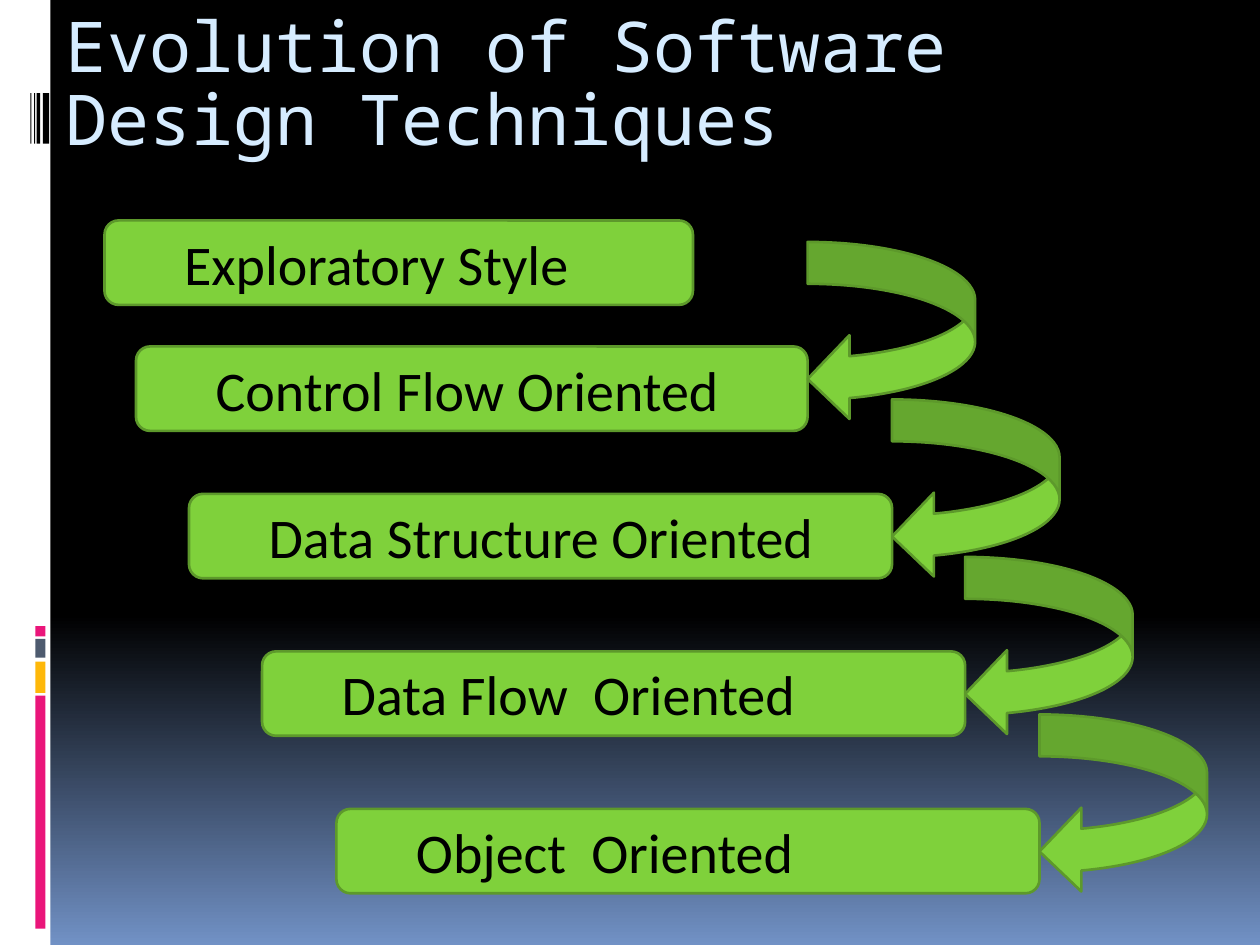
from copy import deepcopy
from pptx import Presentation
from pptx.dml.color import RGBColor
from pptx.enum.shapes import MSO_SHAPE as Geo
from pptx.enum.text import MSO_ANCHOR as Anchor, PP_ALIGN as Align
from pptx.oxml.ns import qn
from pptx.util import Inches, Pt

COLORS = {
    "black": "000000", "white": "FFFFFF", "sky": "7191C5", "title": "D6ECFF",
    "pink": "EA157A", "gold": "FEB80A", "slate": "4E5B6F",
    "green": "7FD13B", "edge": "5D992B",
}


def color(name):
    return RGBColor.from_string(COLORS[name])


def add_shape(kind, x, y, w, h, fill, line=None):
    shape = slide.shapes.add_shape(kind, Inches(x), Inches(y), Inches(w), Inches(h))
    shape.shadow.inherit = False
    shape.fill.solid()
    shape.fill.fore_color.rgb = color(fill)
    if line:
        shape.line.color.rgb = color(line)
        shape.line.width = Pt(1.5)
    else:
        shape.line.fill.background()
    return shape


prs = Presentation()
prs.slide_width, prs.slide_height = Inches(10), Inches(7.5)
slide = prs.slides.add_slide(prs.slide_layouts[6])

# Background: black down to 65 %, then fading to blue
back = slide.background.fill
back.gradient()
back.gradient_angle = 270
stops = next(slide.element.iter(qn("a:gsLst")))
stops.insert(1, deepcopy(stops[0]))
for stop, (place, name) in zip(
        back.gradient_stops, [(0, "black"), (0.65, "black"), (1, "sky")]):
    stop.position = place
    stop.color.rgb = color(name)

# Left strip with coloured blocks and thin bars
add_shape(Geo.RECTANGLE, 0, 0, 0.4, 7.5, "white")
for y, h, name in [(5.52, 1.85, "pink"), (5.25, 0.25, "gold"),
                   (5.07, 0.15, "slate"), (4.97, 0.08, "pink")]:
    add_shape(Geo.RECTANGLE, 0.28, y, 0.08, h, name)
for x, w in [(0.34, 0.05), (0.29, 0.03), (0.27, 0.01), (0.24, 0.01)]:
    add_shape(Geo.RECTANGLE, x, 0.74, w, 0.4, "black")

# Title
title = slide.shapes.add_textbox(Inches(0.42), 0, Inches(8.5), Inches(1))
frame = title.text_frame
frame.word_wrap = True
frame.margin_top = Inches(0.11)
para = frame.paragraphs[0]
para.text = "Evolution of Software Design Techniques"
para.line_spacing = 0.87
para.font.name = "Noto Sans Mono"
para.font.size = Pt(40)
para.font.color.rgb = color("title")

# Steps
steps = [
    ("Exploratory Style", 0.83, 1.75, 4.67),
    ("Control Flow Oriented", 1.08, 2.75, 5.33),
    ("Data Structure Oriented", 1.5, 3.92, 5.58),
    ("Data Flow  Oriented", 2.08, 5.17, 5.58),
    ("Object  Oriented", 2.67, 6.42, 5.58),
]
for text, x, y, w in steps:
    box = add_shape(Geo.ROUNDED_RECTANGLE, x, y, w, 0.67, "green", "edge")
    frame = box.text_frame
    frame.word_wrap = True
    frame.vertical_anchor = Anchor.MIDDLE
    para = frame.paragraphs[0]
    para.text = text
    para.level = 1
    para.alignment = Align.LEFT
    props = para._p.get_or_add_pPr()
    props.set("marL", str(Inches(0.5)))
    props.set("indent", "0")
    para.font.name = "Calibri"
    para.font.size = Pt(32)
    para.font.color.rgb = color("black")

# Curved arrows, each pointing at the right side of the next step
for i, (_, x, _, w) in enumerate(steps[1:]):
    add_shape(Geo.CURVED_LEFT_ARROW, x + w, 1.92 + 1.25 * i, 1.33, 1.42,
              "green", "edge")

prs.save("out.pptx")
